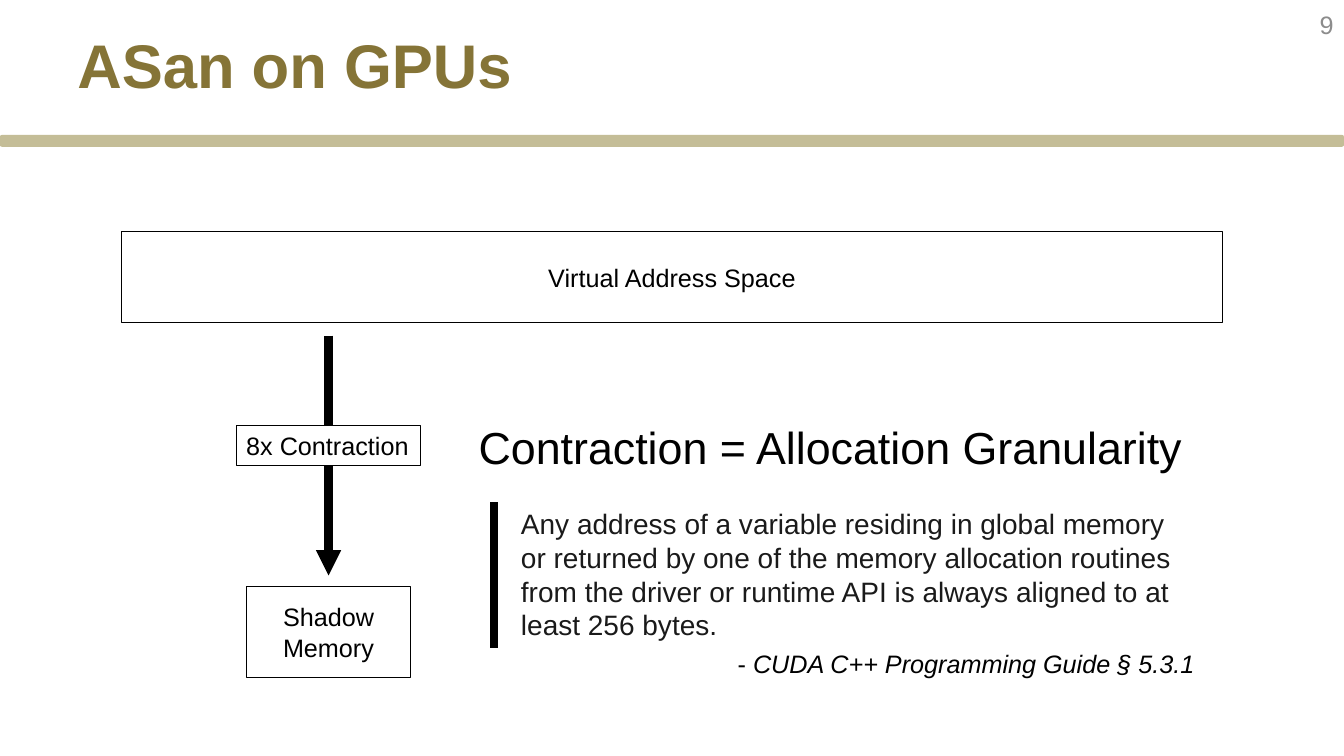
"""Build the slide on ASan contraction on GPUs."""
import pptx
import pptx.dml.color
import pptx.enum.shapes
import pptx.enum.text
import pptx.oxml
import pptx.util
import lxml.etree

Cm = pptx.util.Cm
Kind = pptx.enum.shapes.MSO_SHAPE
Align = pptx.enum.text.PP_ALIGN
Anchor = pptx.enum.text.MSO_ANCHOR

WIDE, HIGH = 33.87, 19.05
BLACK, WHITE = "000000", "FFFFFF"
MID = 8.28
BOX_H = 2.29
QUOTE = (12.88, 12.65, 17.32, 3.68)
RULE_X = 12.45

BOXES = [
    ("Virtual Address Space", WIDE / 2, 5.84, 27.76, BOX_H, True),
    ("Shadow Memory", MID, 14.78, 4.14, BOX_H, True),
    ("8x Contraction", MID, 10.72, 4.65, 1.02, False),
]
TEXTS = [
    (["ASan on GPUs"], (1.7, 0.56, 28.52, 3.18),
     dict(size=44, color="857437", bold=True)),
    (["9"], (32.51, 0, 1.35, 1.22),
     dict(color="8C8C8C", align=Align.RIGHT, anchor=Anchor.MIDDLE)),
    (["Any address of a variable residing in global memory or returned by "
      "one of the memory allocation routines from the driver or runtime API "
      "is always aligned to at least 256 bytes."], QUOTE,
     dict(size=20, color="1A1A1A")),
    (["- ", "CUDA C++ Programming Guide § 5.3.1"], (18.34, 16.21, 12.47, 1.02),
     dict(wrap=False, slant=1)),
    (["Contraction = Allocation Granularity"], (11.81, 10.44, 18.39, 1.63),
     dict(size=32, wrap=False)),
]


def paint(part, color):
    part.solid()
    part.fore_color.rgb = pptx.dml.color.RGBColor.from_string(color)


def write(runs, shape, size=18, color=BLACK, bold=False, slant=None,
          align=Align.LEFT, anchor=Anchor.TOP, wrap=True):
    frame = shape.text_frame
    frame.word_wrap = wrap
    frame.vertical_anchor = anchor
    para = frame.paragraphs[0]
    para.alignment = align
    for i, text in enumerate(runs):
        run = para.add_run()
        run.text = text
        font = run.font
        font.name, font.size = "Arial", pptx.util.Pt(size)
        font.bold, font.italic = bold, i == slant
        paint(font.fill, color)


def block(slide, kind, place, fill, edge=None):
    shape = slide.shapes.add_shape(kind, *map(Cm, place))
    shape.shadow.inherit = False
    paint(shape.fill, fill)
    if edge:
        paint(shape.line.fill, edge)
        shape.line.width = pptx.util.Pt(0.75)
    else:
        shape.line.fill.background()
    return shape


def stroke(slide, x, top, end, arrow=False):
    line = slide.shapes.add_connector(
        pptx.enum.shapes.MSO_CONNECTOR.STRAIGHT, Cm(x), Cm(top), Cm(x), Cm(end))
    paint(line.line.fill, BLACK)
    line.line.width = pptx.util.Pt(6)
    props = line._element.spPr
    if arrow:
        tip = lxml.etree.SubElement(
            line.line._get_or_add_ln(), pptx.oxml.ns.qn("a:tailEnd"))
        tip.set("type", "triangle")
    lxml.etree.SubElement(props, pptx.oxml.ns.qn("a:effectLst"))


def main():
    deck = pptx.Presentation()
    deck.slide_width, deck.slide_height = Cm(WIDE), Cm(HIGH)
    slide = deck.slides.add_slide(deck.slide_layouts[6])
    block(slide, Kind.ROUNDED_RECTANGLE, (0, 3.4, WIDE, 0.3), "C4BD97")
    stroke(slide, MID, 8.46, 14.5, arrow=True)
    stroke(slide, RULE_X, QUOTE[1], QUOTE[1] + QUOTE[3])
    for text, mid, top, wide, high, wrap in BOXES:
        place = (mid - wide / 2, top, wide, high)
        shape = block(slide, Kind.RECTANGLE, place, WHITE, BLACK)
        write([text], shape, wrap=wrap,
              align=Align.CENTER if wrap else Align.LEFT,
              anchor=Anchor.MIDDLE if wrap else Anchor.TOP)
    for runs, place, style in TEXTS:
        write(runs, slide.shapes.add_textbox(*map(Cm, place)), **style)
    deck.save("out.pptx")


if __name__ == "__main__":
    main()
